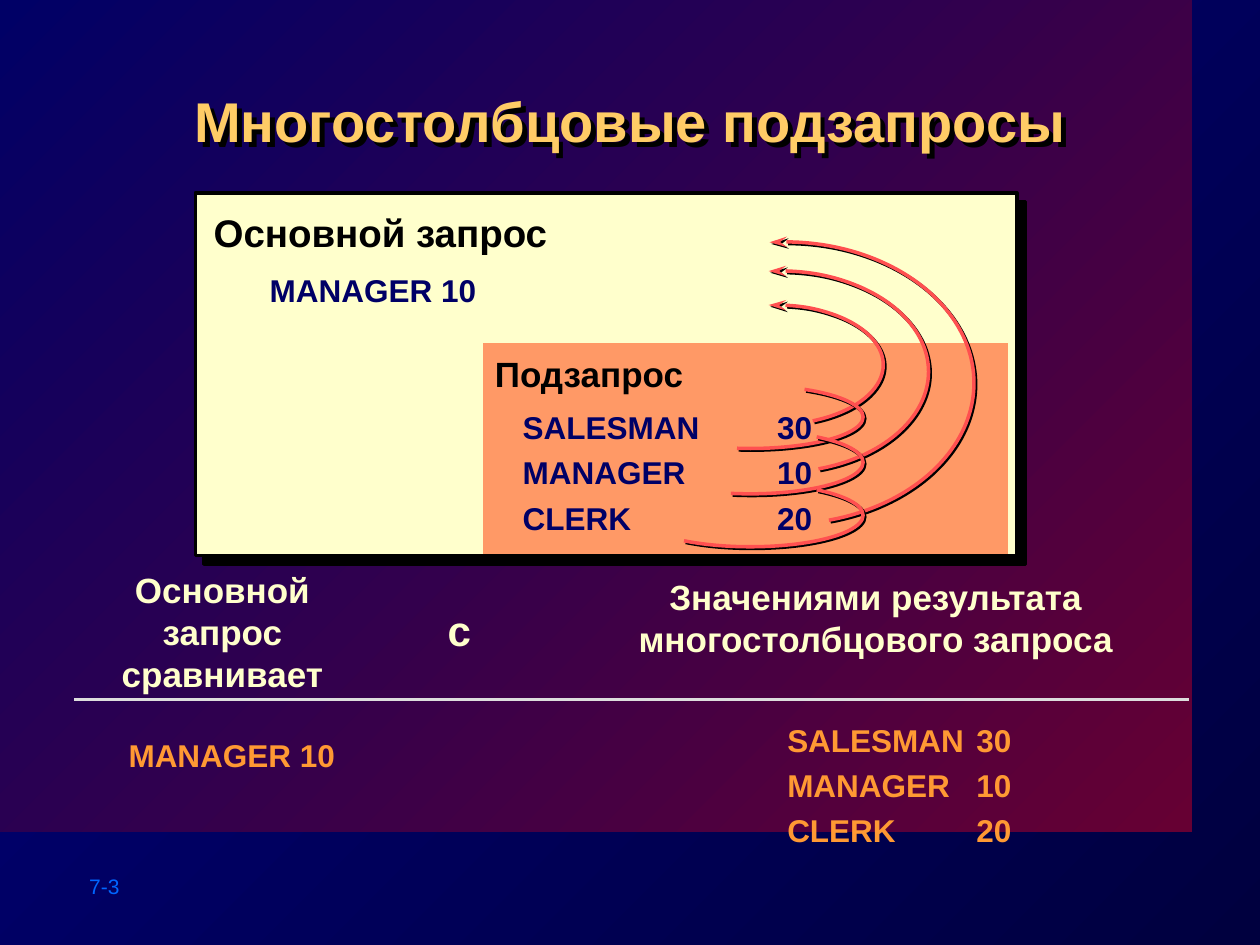
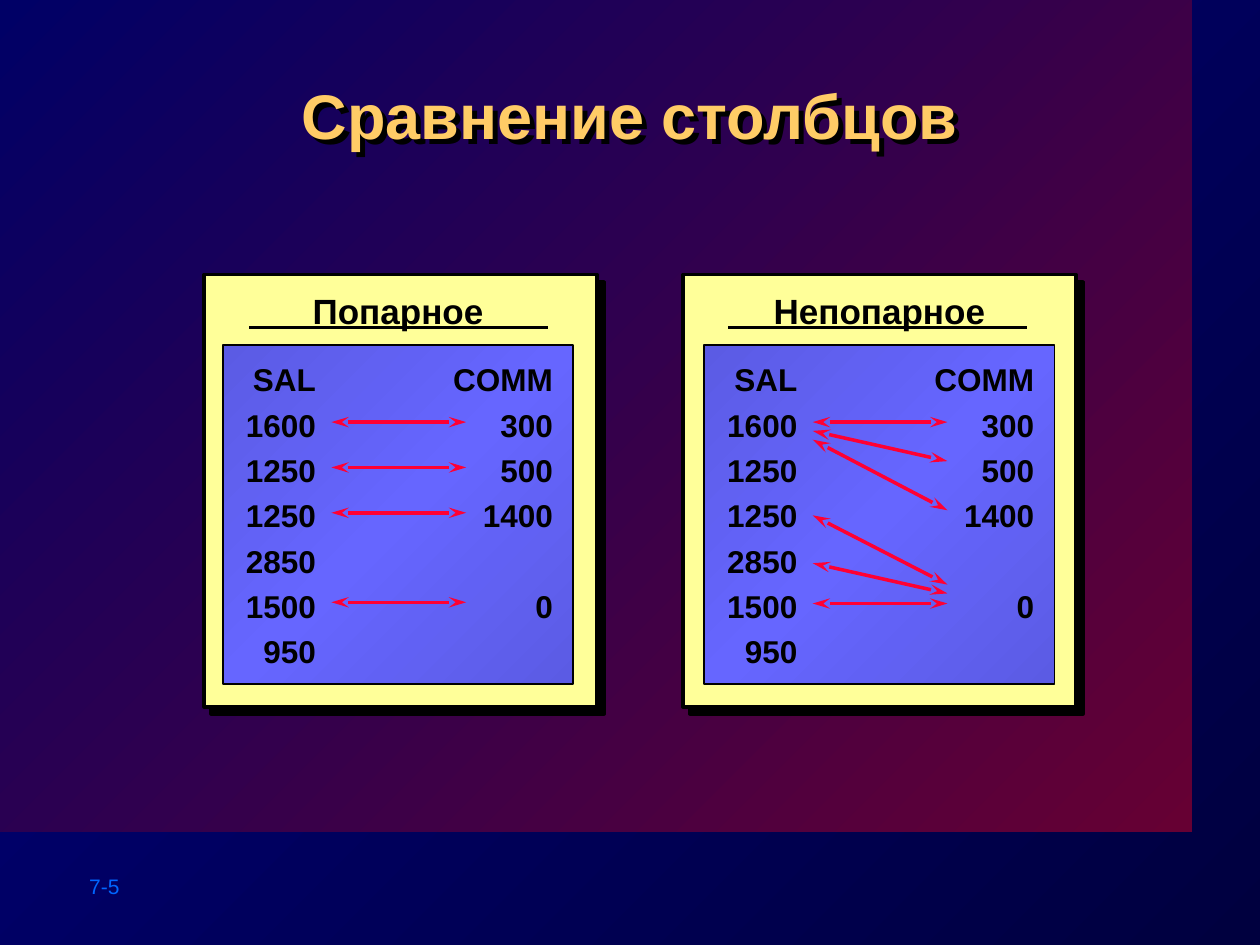
import copy

import lxml.etree
import pptx
import pptx.dml.color
import pptx.enum.shapes
import pptx.enum.text
import pptx.oxml.ns
import pptx.util

Inches = pptx.util.Inches
Pt = pptx.util.Pt
qn = pptx.oxml.ns.qn
ALIGN = pptx.enum.text.PP_ALIGN
AUTO_SIZE = pptx.enum.text.MSO_AUTO_SIZE
PRESET = pptx.enum.shapes.MSO_SHAPE
STRAIGHT = pptx.enum.shapes.MSO_CONNECTOR.STRAIGHT

FONT = "Arial"
COLORS = {
    "black": "000000",
    "backdrop_dark": "00003F",
    "backdrop_light": "000080",
    "band_wine": "660033",
    "band_navy": "000066",
    "title": "FFCC66",
    "page": "0066FF",
    "query": "FFFFCC",
    "subquery": "FF9966",
    "subquery_end": "FE9865",
    "value": "000066",
    "result": "FF9933",
    "loop": "FF5050",
    "rule": "DDDDDD",
    "card": "FFFF99",
    "list_edge": "5B5BE4",
    "list_middle": "6666FF",
    "match": "FF0033",
}

RESULT_ROWS = ["SALESMAN\t30", "MANAGER\t10", "CLERK\t20"]
PAY_ROWS = [
    "\tSAL\tCOMM", "\t1600\t300", "\t1250\t500", "\t1250\t1400",
    "\t2850", "\t1500\t0", "\t950",
]
RETURN_ARCS = [
    ((3.17, 0.39, 3.01, 2.24), 264, 72),
    ((3.45, 0.62, 2.37, 1.6), 264, 68),
    ((3.74, 0.89, 1.72, 0.95), 264, 56),
]
ROW_ARCS = [
    ((3.51, 1.89, 1.79, 0.5), 334, 113),
    ((3.51, 2.31, 1.79, 0.5), 339, 159),
    ((3.51, 1.53, 1.79, 0.5), 333, 113),
]
ROW_ARCS = [
    ((3.51, 1.53, 1.79, 0.5), 333, 113),
    ((3.51, 1.89, 1.79, 0.5), 339, 122),
    ((3.51, 2.31, 1.79, 0.5), 339, 159),
]
PAIRWISE = [(1.17, 1.17), (1.53, 1.53), (1.89, 1.89), (2.6, 2.6)]
NON_PAIRWISE = [
    (1.17, 1.17), (1.24, 1.48), (1.31, 1.87),
    (1.91, 2.46), (2.29, 2.53), (2.61, 2.61),
]


def rgb(name):
    return pptx.dml.color.RGBColor.from_string(COLORS[name])


def inches(box):
    return [Inches(length) for length in box]


def set_gradient(fill, names, angle):
    fill.gradient()
    fill.gradient_angle = angle
    first = fill.gradient_stops[0]._gs
    for _ in names[2:]:
        first.addnext(copy.deepcopy(first))
    for index, (stop, name) in enumerate(zip(fill.gradient_stops, names)):
        stop.position = index / (len(names) - 1)
        stop.color.rgb = rgb(name)


def set_line(line, color, width):
    line.color.rgb = rgb(color)
    line.width = Pt(width)


def cast_shadow(shape, distance):
    shape.shadow.inherit = False
    effects = shape.element.spPr.find(qn("a:effectLst"))
    shadow = lxml.etree.SubElement(
        effects, qn("a:outerShdw"), dist=str(Pt(distance)), dir="2700000",
        algn="ctr", rotWithShape="0")
    lxml.etree.SubElement(shadow, qn("a:srgbClr"), val=COLORS["black"])


def add_arrowheads(shape, ends):
    outline = shape.element.spPr.find(qn("a:ln"))
    for end in ends:
        lxml.etree.SubElement(
            outline, qn("a:" + end), type="stealth", w="med", len="lg")


def add_panel(slide, box, fills, outline=0, shadow=0, angle=135):
    panel = slide.shapes.add_shape(PRESET.RECTANGLE, *inches(box))
    panel.shadow.inherit = False
    if len(fills) == 1:
        panel.fill.solid()
        panel.fill.fore_color.rgb = rgb(fills[0])
    else:
        set_gradient(panel.fill, fills, angle)
    if outline:
        set_line(panel.line, "black", outline)
    else:
        panel.line.fill.background()
    if shadow:
        cast_shadow(panel, shadow)
    return panel


def add_segment(slide, start, end, color, ends=()):
    segment = slide.shapes.add_connector(STRAIGHT, *inches(start + end))
    set_line(segment.line, color, 2)
    add_arrowheads(segment, ends)
    lxml.etree.SubElement(segment.element.spPr, qn("a:effectLst"))


def write(paragraph, text, size, color, bold=True):
    run = paragraph.add_run()
    run.text = text
    run.font.name = FONT
    run.font.size = Pt(size)
    run.font.bold = bold
    run.font.color.rgb = rgb(color)


def add_label(slide, box, lines, size, color, spacing=1.2, tabs=(), bold=True,
              align=ALIGN.CENTER, wrap=False):
    frame = slide.shapes.add_textbox(*inches(box)).text_frame
    frame.word_wrap = wrap
    frame.auto_size = AUTO_SIZE.SHAPE_TO_FIT_TEXT
    paragraph = frame.paragraphs[0]
    paragraph.alignment = align
    paragraph.line_spacing = spacing
    if tabs:
        stops = lxml.etree.SubElement(
            paragraph._p.get_or_add_pPr(), qn("a:tabLst"))
        for position, side in tabs:
            lxml.etree.SubElement(
                stops, qn("a:tab"), pos=str(Inches(position)), algn=side)
    for index, line in enumerate(lines):
        if index:
            paragraph.add_line_break()
        write(paragraph, line, size, color, bold)


def add_list(slide, box, rows, color, tabs):
    add_label(slide, box, rows, 18, color, tabs=tabs, align=ALIGN.LEFT, wrap=True)


def add_arc(slide, origin, arc, ends=()):
    (left, top, width, height), first, last = arc
    box = (origin[0] + left, origin[1] + top, width, height)
    curve = slide.shapes.add_shape(PRESET.ARC, *inches(box))
    curve.adjustments[0] = first * 0.6
    curve.adjustments[1] = last * 0.6
    curve.fill.background()
    set_line(curve.line, "loop", 2)
    add_arrowheads(curve, ends)
    cast_shadow(curve, 1.4)


def dress_master(prs, slide):
    master = prs.slide_master
    set_gradient(master.background.fill, ["backdrop_dark", "backdrop_light"], 135)
    band = add_panel(slide, (0, 0, 9.46, 6.6), ["band_wine", "band_navy"])
    master.shapes.element.insert(2, band.element)


def start_slide(prs, heading, top, size, page):
    slide = prs.slides.add_slide(prs.slide_layouts[5])
    title = slide.shapes.title
    title.left, title.top, title.width, title.height = inches(
        (1.01, top, 7.98, 0.96))
    frame = title.text_frame
    frame.auto_size = AUTO_SIZE.NONE
    frame.vertical_anchor = pptx.enum.text.MSO_ANCHOR.TOP
    frame.paragraphs[0].alignment = ALIGN.CENTER
    write(frame.paragraphs[0], heading, size, "title")
    cast_shadow(title, 4)
    add_label(slide, (0.61, 6.88, 1.11, 0.3), [page], 12, "page", spacing=1,
              bold=False, align=ALIGN.LEFT, wrap=True)
    return slide


def draw_query(slide, box):
    left, top, width, height = box
    add_panel(slide, box, ["query"], outline=2, shadow=7.1)
    add_panel(slide, (left + 2.28, top + 1.19, 4.17, height - 1.2),
              ["subquery", "subquery_end"], angle=270)
    add_label(slide, (left + 0.04, top + 0.01, 2.86, 0.54),
              ["Основной запрос"], 22, "black")
    add_label(slide, (left + 0.49, top + 0.51, 1.84, 0.46),
              ["MANAGER 10"], 18, "value")
    add_label(slide, (left + 2.27, top + 1.15, 1.71, 0.5),
              ["Подзапрос"], 20, "black")
    add_list(slide, (left + 2.5, top + 1.6, 2.53, 1.73), RESULT_ROWS,
             "value", [(2.02, "l")])
    for arc in RETURN_ARCS:
        add_arc(slide, (left, top), arc, ["headEnd"])
    for arc in ROW_ARCS:
        add_arc(slide, (left, top), arc)


def draw_comparison(slide, box):
    left, top, width, _ = box
    add_label(slide, (left, top, 2.35, 1.1), ["Основной запрос сравнивает"],
              20, "query", spacing=1, wrap=True)
    add_label(slide, (left + 0.33, top + 1.27, 1.84, 0.46),
              ["MANAGER 10"], 18, "result")
    add_label(slide, (left + 4.36, top + 0.06, 4, 0.77),
              ["Значениями результата", "многостолбцового запроса"],
              20, "query", spacing=1)
    add_list(slide, (left + 5.56, top + 1.15, 2.1, 1.73), RESULT_ROWS,
             "result", [(1.5, "l")])
    add_label(slide, (left + 2.86, top + 0.21, 0.39, 0.58), ["с"], 24, "query")
    add_segment(slide, (left, top + 1.09), (left + width, top + 1.09), "rule")


def draw_column_card(slide, box, heading, heading_width, inset, matches):
    left, top, width, _ = box
    list_left = left + inset
    add_panel(slide, box, ["card"], outline=2, shadow=5.7)
    add_panel(slide, (list_left, top + 0.56, 2.78, 2.69),
              ["list_edge", "list_middle", "list_edge"], outline=1)
    add_label(slide, (list_left + 1.39 - heading_width / 2, top, heading_width, 0.5),
              [heading], 20, "black")
    add_list(slide, (list_left - 0.61, top + 0.57, 4.57, 2.62), PAY_ROWS, "black",
             [(1.25, "r"), (3.13, "r")])
    for salary, commission in matches:
        add_segment(slide, (list_left + 0.86, top + salary),
                    (list_left + 1.93, top + commission), "match",
                    ["headEnd", "tailEnd"])
    add_segment(slide, (left + 0.36, top + 0.42), (left + 2.73, top + 0.42), "black")


def main():
    prs = pptx.Presentation()
    prs.slide_width, prs.slide_height = Inches(10), Inches(7.5)

    subqueries = start_slide(prs, "Многостолбцовые подзапросы", 0.64, 32, "7-3")
    dress_master(prs, subqueries)
    draw_query(subqueries, (1.55, 1.53, 6.52, 2.88))
    draw_comparison(subqueries, (0.59, 4.46, 8.85, 2.88))

    columns = start_slide(prs, "Сравнение столбцов", 0.56, 36, "7-5")
    draw_column_card(columns, (1.62, 2.18, 3.12, 3.43), "Попарное", 1.56, 0.15,
                     PAIRWISE)
    draw_column_card(columns, (5.42, 2.18, 3.12, 3.43), "Непопарное", 1.88, 0.17,
                     NON_PAIRWISE)

    prs.save("out.pptx")


if __name__ == "__main__":
    main()
